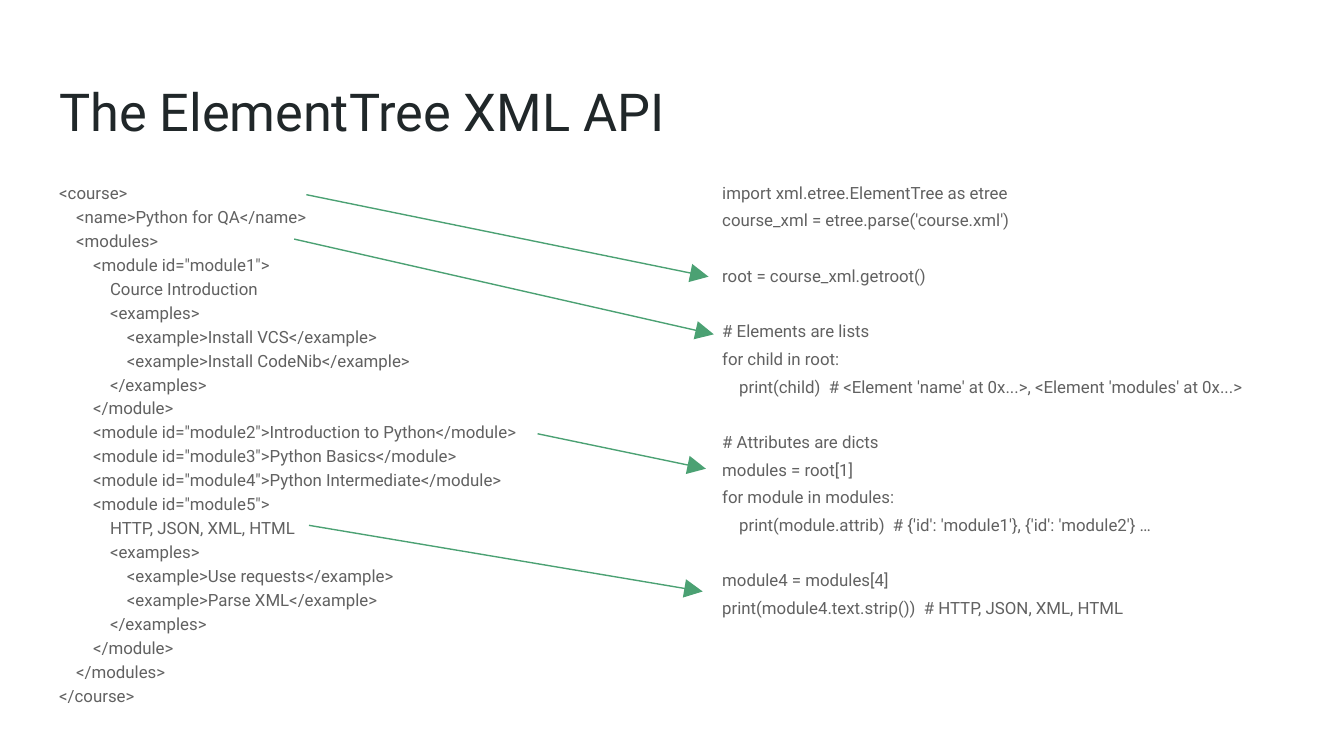
"""Build a slide that links an XML document to the ElementTree code reading it."""
from lxml.etree import SubElement
from pptx import Presentation
from pptx.dml.color import RGBColor as Color
from pptx.enum.shapes import MSO_CONNECTOR as Connector
from pptx.enum.text import MSO_ANCHOR as Anchor, PP_ALIGN as Align
from pptx.oxml.ns import qn
from pptx.util import Cm, Pt

TITLE = "The ElementTree XML API"

XML_GROUPS = [[
    (0, "<course>"),
    (1, "<name>Python for QA</name>"),
    (1, "<modules>"),
    (2, '<module id="module1">'),
    (3, "Cource Introduction"),
    (3, "<examples>"),
    (4, "<example>Install VCS</example>"),
    (4, "<example>Install CodeNib</example>"),
    (3, "</examples>"),
    (2, "</module>"),
    (2, '<module id="module2">Introduction to Python</module>'),
    (2, '<module id="module3">Python Basics</module>'),
    (2, '<module id="module4">Python Intermediate</module>'),
    (2, '<module id="module5">'),
    (3, "HTTP, JSON, XML, HTML"),
    (3, "<examples>"),
    (4, "<example>Use requests</example>"),
    (4, "<example>Parse XML</example>"),
    (3, "</examples>"),
    (2, "</module>"),
    (1, "</modules>"),
    (0, "</course>"),
]]

CODE_GROUPS = [
    [(0, "import xml.etree.ElementTree as etree"),
     (0, "course_xml = etree.parse('course.xml')")],
    [(0, "root = course_xml.getroot()")],
    [(0, "# Elements are lists"),
     (0, "for child in root:"),
     (1, "print(child)  # <Element 'name' at 0x...>, <Element 'modules' at 0x...>")],
    [(0, "# Attributes are dicts"),
     (0, "modules = root[1]"),
     (0, "for module in modules:"),
     (1, "print(module.attrib)  # {'id': 'module1'}, {'id': 'module2'} …")],
    [(0, "module4 = modules[4]"),
     (0, "print(module4.text.strip())  # HTTP, JSON, XML, HTML")],
]

ARROWS = [
    ((5.79, 3.68), (13.39, 5.23)),
    ((5.56, 4.52), (13.49, 6.32)),
    ((10.16, 8.2), (13.34, 8.86)),
    ((5.84, 9.93), (13.28, 11.18)),
]

THEME = {
    "background": Color.from_string("FFFFFF"),
    "arrow": Color.from_string("4BA173"),
    "arrow_width": Pt(0.75),
    "title": {"name": "Roboto", "size": Pt(28), "color": Color.from_string("202729")},
    "body": {"name": "Roboto", "size": Pt(9), "color": Color.from_string("616161")},
}
FRAME = {
    "word_wrap": True,
    "vertical_anchor": Anchor.TOP,
    **{f"margin_{side}": Cm(0.25) for side in ("left", "top", "right", "bottom")},
}
LINE_HEIGHT = 10.85
INDENT = Cm(0.32)


def apply(target, values):
    """Set every attribute named in values."""
    for name, value in values.items():
        setattr(target, name, value)


def add_text(slide, box, groups, style, gap=0):
    """Add a text box whose groups stand one empty line apart."""
    shape = slide.shapes.add_textbox(*map(Cm, box))
    frame = shape.text_frame
    apply(frame, FRAME)
    lines = [
        (level, text, group is not groups[-1] and position == len(group) - 1)
        for group in groups
        for position, (level, text) in enumerate(group)
    ]
    for number, (level, text, ends_group) in enumerate(lines):
        paragraph = frame.add_paragraph() if number else frame.paragraphs[0]
        space = 2 * gap + LINE_HEIGHT if ends_group else gap
        apply(paragraph, {"alignment": Align.LEFT, "space_after": Pt(space)})
        properties = paragraph._p.get_or_add_pPr()
        properties.set("marL", str(level * INDENT))
        properties.set("indent", "0")
        run = paragraph.add_run()
        run.text = text
        apply(run.font, {"name": style["name"], "size": style["size"]})
        run.font.color.rgb = style["color"]


def add_arrow(slide, start, end):
    """Add a straight line with a large triangular head."""
    connector = slide.shapes.add_connector(Connector.STRAIGHT, *map(Cm, start + end))
    connector.line.color.rgb = THEME["arrow"]
    connector.line.width = THEME["arrow_width"]
    outline = connector.line._get_or_add_ln()
    SubElement(outline, qn("a:tailEnd"), type="triangle", w="lg", len="lg")
    SubElement(connector._element.spPr, qn("a:effectLst"))


def main():
    """Lay out the title, both listings and the arrows between them."""
    presentation = Presentation()
    apply(presentation, {"slide_width": Cm(25.4), "slide_height": Cm(14.29)})
    slide = presentation.slides.add_slide(presentation.slide_layouts[6])
    fill = slide.background.fill
    fill.solid()
    fill.fore_color.rgb = THEME["background"]
    add_text(slide, (0.87, 1.24, 23.67, 1.6), [[(0, TITLE)]], THEME["title"])
    add_text(slide, (0.87, 3.2, 11.1, 10.31), XML_GROUPS, THEME["body"], gap=2)
    add_text(slide, (13.4, 3.2, 11.1, 9.5), CODE_GROUPS, THEME["body"], gap=4)
    for start, end in ARROWS:
        add_arrow(slide, start, end)
    presentation.save("out.pptx")


if __name__ == "__main__":
    main()
